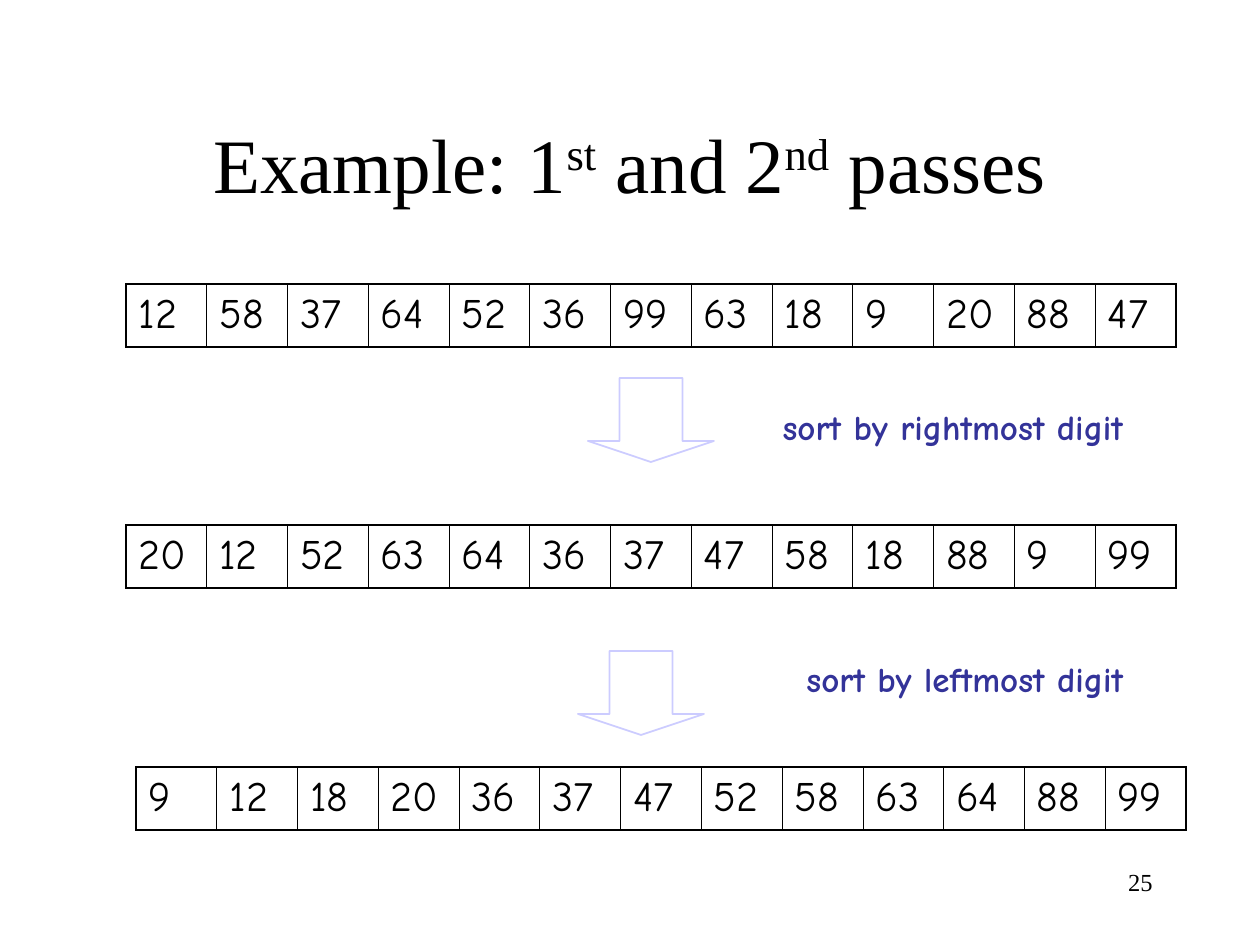
from dataclasses import dataclass

from lxml import etree
from pptx import Presentation
from pptx.dml.color import RGBColor
from pptx.enum.shapes import MSO_SHAPE
from pptx.enum.text import MSO_ANCHOR, PP_ALIGN
from pptx.oxml.ns import qn
from pptx.util import Emu, Pt

DOWN_ARROW = MSO_SHAPE.DOWN_ARROW
TOP, MIDDLE = MSO_ANCHOR.TOP, MSO_ANCHOR.MIDDLE
CENTER, RIGHT, LEFT = PP_ALIGN.CENTER, PP_ALIGN.RIGHT, PP_ALIGN.LEFT


@dataclass(frozen=True)
class Theme:
    ink: str = "000000"
    label: str = "333399"
    arrow: str = "CCCCFF"
    serif: str = "Times New Roman"
    comic: str = "Comic Neue"
    title_size: int = 44
    number_size: int = 24
    label_size: int = 20
    page_size: int = 14
    outer_border: float = 1.08
    inner_border: float = 0.45


THEME = Theme()

# Content: positions in px, 126 px to the inch
TITLE = [("Example: 1", False), ("st", True), (" and 2", False),
         ("nd", True), (" passes", False)]
PAGE_NUMBER = "25"
PASSES = [  # left, top, numbers
    (126, 284, [12, 58, 37, 64, 52, 36, 99, 63, 18, 9, 20, 88, 47]),
    (126, 525, [20, 12, 52, 63, 64, 36, 37, 47, 58, 18, 88, 9, 99]),
    (136, 767, [9, 12, 18, 20, 36, 37, 47, 52, 58, 63, 64, 88, 99]),
]
TABLE_WIDTH, ROW_HEIGHT = 1050, 63
ARROWS = [(588, 378), (578, 651)]
ARROW_WIDTH, ARROW_HEIGHT = 126, 84
LABELS = [  # text, left, top, width, height
    ("sort by rightmost digit", 770, 399, 366, 55),
    ("sort by leftmost digit", 794, 651, 342, 55),
]


def px(length):
    return Emu(round(length * 914400 / 126))


def style(para, face, size, color, align=LEFT, bold=False, before=0):
    para.alignment = align
    para.space_before = Pt(before)
    para.font.name = face
    para.font.size = Pt(size)
    para.font.bold = bold
    para.font.color.rgb = RGBColor.from_string(color)


def add_text(page, spans, place, face, size, color, align,
             anchor=TOP, wrap=True, bold=False, before=0):
    frame = page.shapes.add_textbox(*map(px, place)).text_frame
    frame.word_wrap = wrap
    frame.vertical_anchor = anchor
    para = frame.paragraphs[0]
    style(para, face, size, color, align, bold, before)
    for text, raised in spans:
        span = para.add_run()
        span.text = text
        if raised:
            span.font._element.set("baseline", "30000")


def set_borders(cell, widths):
    props = cell._tc.get_or_add_tcPr()
    for index, (side, width) in enumerate(widths.items()):
        line = etree.Element(qn(f"a:{side}"), w=str(Pt(width)))
        fill = etree.SubElement(line, qn("a:solidFill"))
        etree.SubElement(fill, qn("a:srgbClr"), val=THEME.ink)
        props.insert(index, line)


def add_pass(page, left, top, numbers):
    frame = page.shapes.add_table(1, len(numbers), px(left), px(top),
                                  px(TABLE_WIDTH), px(ROW_HEIGHT))
    table = frame.table
    table.first_row = table.horz_banding = False
    table.rows[0].height = px(ROW_HEIGHT)
    outer, inner = THEME.outer_border, THEME.inner_border
    last = len(numbers) - 1
    for index, number in enumerate(numbers):
        table.columns[index].width = px(TABLE_WIDTH / len(numbers))
        cell = table.cell(0, index)
        cell.fill.background()
        cell.text = str(number)
        style(cell.text_frame.paragraphs[0], THEME.comic,
              THEME.number_size, THEME.ink, before=6)
        set_borders(cell, {"lnL": outer if index == 0 else inner,
                           "lnR": outer if index == last else inner,
                           "lnT": outer, "lnB": outer})


def add_arrow(page, left, top):
    arrow = page.shapes.add_shape(DOWN_ARROW, px(left), px(top),
                                  px(ARROW_WIDTH), px(ARROW_HEIGHT))
    arrow.adjustments[0], arrow.adjustments[1] = 0.5, 0.25
    arrow.shadow.inherit = False
    arrow.fill.background()
    arrow.line.color.rgb = RGBColor.from_string(THEME.arrow)
    arrow.line.width = Pt(1)


def main():
    deck = Presentation()
    deck.slide_width, deck.slide_height = px(1260), px(945)
    page = deck.slides.add_slide(deck.slide_layouts[6])

    # Title and page number
    add_text(page, TITLE, (94, 84, 1071, 158), THEME.serif,
             THEME.title_size, THEME.ink, CENTER, anchor=MIDDLE)
    add_text(page, [(PAGE_NUMBER, False)], (903, 861, 262, 63), THEME.serif,
             THEME.page_size, THEME.ink, RIGHT)

    # Number rows, arrows between them and their labels
    for left, top, numbers in PASSES:
        add_pass(page, left, top, numbers)
    for left, top in ARROWS:
        add_arrow(page, left, top)
    for text, *place in LABELS:
        add_text(page, [(text, False)], place, THEME.comic, THEME.label_size,
                 THEME.label, CENTER, wrap=False, bold=True, before=12.5)

    deck.save("out.pptx")


if __name__ == "__main__":
    main()
